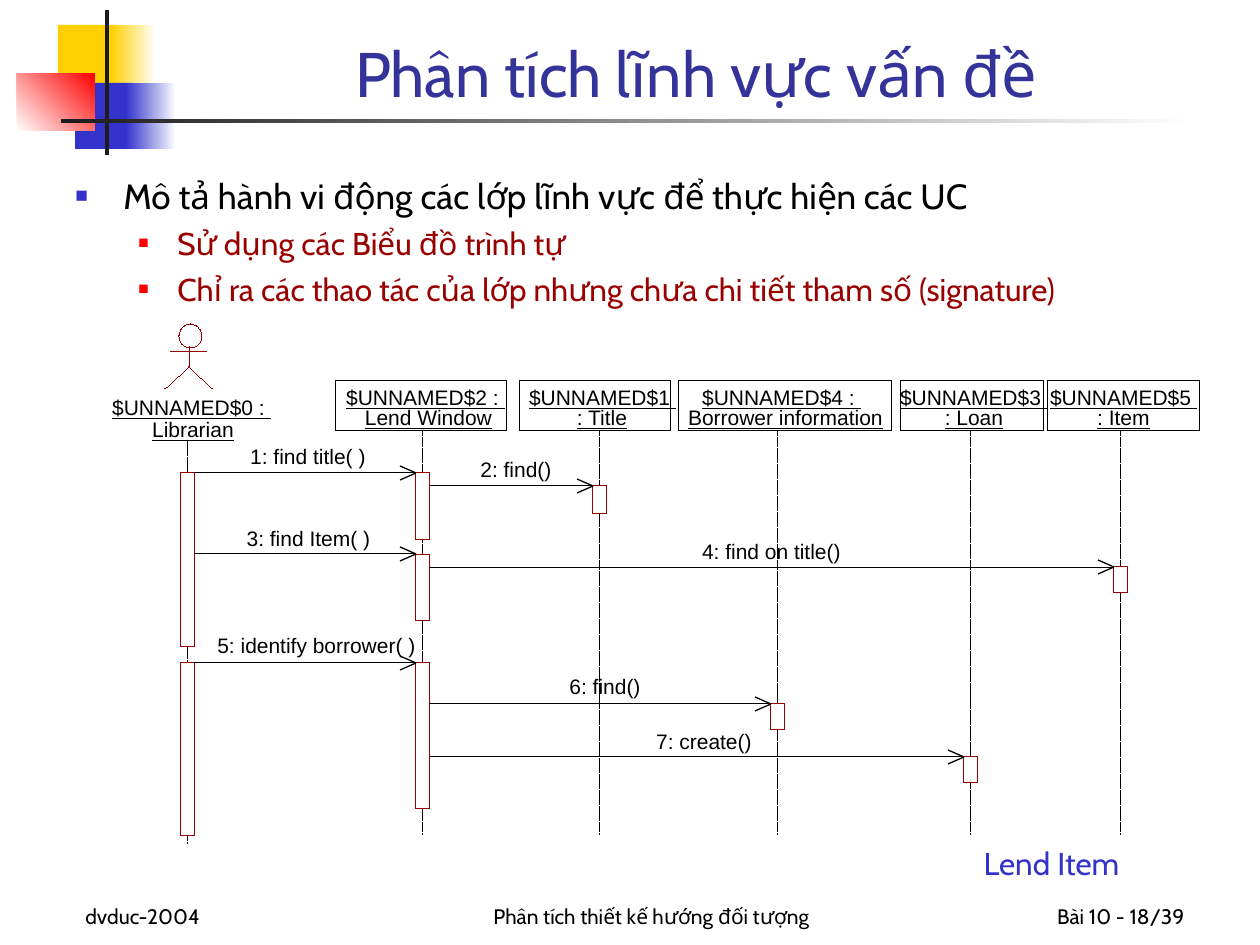
from dataclasses import dataclass

from lxml.etree import SubElement
from pptx import Presentation
from pptx.dml.color import RGBColor
from pptx.enum.dml import MSO_LINE_DASH_STYLE as Dash
from pptx.enum.shapes import MSO_CONNECTOR, MSO_SHAPE as Shape
from pptx.enum.text import MSO_ANCHOR as Anchor, MSO_AUTO_SIZE as AutoSize, PP_ALIGN as Align
from pptx.oxml.ns import qn
from pptx.util import Pt


@dataclass(frozen=True)
class Theme:
    white: str = "FFFFFF"
    black: str = "000000"
    ink: str = "1C1C1C"
    yellow: str = "FFCF01"
    blue: str = "3333CC"
    red: str = "FF0000"
    maroon: str = "990000"
    title: str = "333399"
    body_font: str = "Cabin"
    label_font: str = "Arial"
    title_size: int = 36
    lead_size: int = 20
    sub_size: int = 18
    small_size: int = 12
    hairline: float = 0.01
    head_line: float = 0.75


THEME = Theme()
SCALE = 914400 / 126
BAR_HALF = 7
HEAD_LENGTH, HEAD_HALF = 16, 7
LABEL_SLACK = 5
LIFELINES = {"librarian": 188, "window": 423, "title": 600,
             "borrower": 778, "loan": 971, "item": 1121}
PARTICIPANTS = [
    (336, 171, ("$UNNAMED$2 : ", 346, 159), ("Lend Window", 365, 127)),
    (520, 151, ("$UNNAMED$1 ", 529, 147), (": Title", 576, 52)),
    (679, 213, ("$UNNAMED$4 : ", 702, 159), ("Borrower information", 688, 195)),
    (900, 144, ("$UNNAMED$3 ", 900, 147), (": Loan", 945, 58)),
    (1048, 152, ("$UNNAMED$5 ", 1050, 147), (": Item", 1097, 53)),
]
ACTIVATIONS = [
    ("librarian", 473, 174), ("librarian", 663, 173),
    ("window", 473, 67), ("window", 554, 67), ("window", 663, 146),
    ("title", 486, 28), ("borrower", 704, 26), ("loan", 757, 26), ("item", 567, 26),
]
MESSAGES = [
    ("librarian", "window", 473, "1: find title( )", 250, 444, 116),
    ("window", "title", 486, "2: find()", 480, 457, 72),
    ("librarian", "window", 554, "3: find Item( )", 247, 526, 123),
    ("window", "item", 567, "4: find on title()", 702, 539, 139),
    ("librarian", "window", 663, "5: identify borrower( )", 217, 633, 199),
    ("window", "borrower", 704, "6: find()", 569, 674, 72),
    ("window", "loan", 757, "7: create()", 656, 729, 96),
]


def px(value):
    return round(value * SCALE)


def rgb(value):
    return RGBColor.from_string(value)


def style_line(line, color, width=THEME.hairline):
    line.color.rgb = rgb(color)
    line.width = Pt(width)


def add_block(page, left, top, width, height, fill=None, fade=None, angle=0,
              line=None, kind=Shape.RECTANGLE):
    block = page.shapes.add_shape(kind, px(left), px(top), px(width), px(height))
    block.shadow.inherit = False
    if fade:
        block.fill.gradient()
        block.fill.gradient_angle = angle
        for stop, color, position in zip(block.fill.gradient_stops, (fill, fade), (0, 1)):
            stop.color.rgb = rgb(color)
            stop.position = position
    elif fill:
        block.fill.solid()
        block.fill.fore_color.rgb = rgb(fill)
    else:
        block.fill.background()
    if line:
        style_line(block.line, line)
    else:
        block.line.fill.background()


def add_line(page, x1, y1, x2, y2, color=THEME.black, width=THEME.hairline, dash=None):
    line = page.shapes.add_connector(MSO_CONNECTOR.STRAIGHT, px(x1), px(y1), px(x2), px(y2))
    style_line(line.line, color, width)
    if dash:
        line.line.dash_style = dash
    SubElement(line._element.spPr, qn("a:effectLst"))


def add_span(para, text, font=THEME.body_font, size=THEME.small_size,
             color=THEME.black, underline=None):
    span = para.add_run()
    span.text = text
    span.font.name = font
    span.font.size = Pt(size)
    span.font.color.rgb = rgb(color)
    span.font.underline = underline


def add_text(page, text, left, top, width, height, align=Align.CENTER,
             anchor=Anchor.BOTTOM, wrap=True, inset=True, **style):
    box = page.shapes.add_textbox(px(left), px(top), px(width), px(height))
    frame = box.text_frame
    frame.word_wrap = wrap
    frame.vertical_anchor = anchor
    if not wrap:
        frame.auto_size = AutoSize.SHAPE_TO_FIT_TEXT
    if not inset:
        frame.margin_left = frame.margin_right = frame.margin_top = frame.margin_bottom = 0
    para = frame.paragraphs[0]
    para.alignment = align
    add_span(para, text, **style)


def add_label(page, text, left, top, width, underline=None):
    add_text(page, text, left - LABEL_SLACK, top, width + 2 * LABEL_SLACK, 25,
             anchor=Anchor.TOP, wrap=False, inset=False,
             font=THEME.label_font, underline=underline)


def set_bullet(para, color, percent, margin, indent):
    props = para._p.get_or_add_pPr()
    props.set("marL", str(px(margin)))
    props.set("indent", str(px(-indent)))
    SubElement(SubElement(props, qn("a:buClr")), qn("a:srgbClr"), val=color)
    SubElement(props, qn("a:buSzPct"), val=str(percent * 1000))
    SubElement(props, qn("a:buFont"), typeface=THEME.label_font)
    SubElement(props, qn("a:buChar"), char="■")


def add_body(page):
    frame = page.shapes.add_textbox(px(63), px(168), px(1170), px(693)).text_frame
    frame.word_wrap = True
    lead = frame.paragraphs[0]
    set_bullet(lead, THEME.blue, 60, 48, 48)
    add_span(lead, "Mô tả hành vi động các lớp lĩnh vực để thực hiện các UC", size=THEME.lead_size)
    for text in ("Sử dụng các Biểu đồ trình tự",
                 "Chỉ ra các thao tác của lớp nhưng chưa chi tiết tham số (signature)"):
        para = frame.add_paragraph()
        para.level = 1
        set_bullet(para, THEME.red, 55, 102, 39)
        para.space_before = Pt(4.5)
        add_span(para, text, size=THEME.sub_size, color=THEME.maroon)


def add_decoration(page):
    add_block(page, 58, 25, 60, 66, THEME.yellow)
    add_block(page, 111, 25, 45, 66, THEME.yellow, THEME.white)
    add_block(page, 75, 83, 58, 66, THEME.blue)
    add_block(page, 126, 83, 50, 66, THEME.blue, THEME.white)
    add_block(page, 17, 73, 78, 58, THEME.white, THEME.red, angle=45)
    add_block(page, 105, 10, 4, 145, THEME.ink)
    add_block(page, 61, 119, 1134, 4, THEME.ink, THEME.white)


def add_actor(page):
    add_block(page, 179, 324, 23, 24, line=THEME.maroon, kind=Shape.OVAL)
    add_line(page, 189, 347, 189, 367, THEME.maroon)
    add_line(page, 171, 352, 207, 352, THEME.maroon)
    builder = page.shapes.build_freeform(px(165), px(389))
    builder.add_line_segments([(px(189), px(367)), (px(213), px(389))], close=False)
    legs = builder.convert_to_shape()
    legs.shadow.inherit = False
    legs.fill.background()
    style_line(legs.line, THEME.maroon)
    add_label(page, "$UNNAMED$0 : ", 112, 395, 159, underline=True)
    add_label(page, "Librarian", 152, 417, 82, underline=True)


def add_participant(page, left, width, *names):
    add_block(page, left, 381, width, 50, line=THEME.black)
    for top, (text, name_left, name_width) in zip((385, 405), names):
        add_label(page, text, name_left, top, name_width, underline=True)


def add_message(page, sender, receiver, y, text, left, top, width):
    tip = LIFELINES[receiver] - BAR_HALF
    add_line(page, LIFELINES[sender] + BAR_HALF, y, tip, y)
    for side in (HEAD_HALF, -HEAD_HALF):
        add_line(page, tip, y, tip - HEAD_LENGTH, y + side, width=THEME.head_line)
    add_label(page, text, left, top, width)


def add_sequence(page):
    add_actor(page)
    for participant in PARTICIPANTS:
        add_participant(page, *participant)
    for name, x in LIFELINES.items():
        top = 441 if name == "librarian" else 432
        add_line(page, x, top, x, top + 403, dash=Dash.SQUARE_DOT)
    for name, top, height in ACTIVATIONS:
        add_block(page, LIFELINES[name] - BAR_HALF, top, 2 * BAR_HALF, height,
                  THEME.white, line=THEME.maroon)
    for message in MESSAGES:
        add_message(page, *message)
    add_text(page, "Lend Item", 964, 838, 175, 50, anchor=Anchor.TOP, wrap=False,
             size=THEME.sub_size, color=THEME.blue)


def main():
    deck = Presentation()
    deck.slide_width, deck.slide_height = px(1260), px(945)
    page = deck.slides.add_slide(deck.slide_layouts[6])
    add_decoration(page)
    add_text(page, "dvduc-2004", 73, 872, 262, 63, align=Align.LEFT)
    add_text(page, "Phân tích thiết kế hướng đối tượng", 410, 872, 483, 63)
    add_text(page, "Bài 10 - 18/39", 935, 872, 262, 63, align=Align.RIGHT)
    add_text(page, "Phân tích lĩnh vực vấn đề", 159, 10, 1074, 106,
             size=THEME.title_size, color=THEME.title)
    add_body(page)
    add_sequence(page)
    deck.save("out.pptx")


if __name__ == "__main__":
    main()
